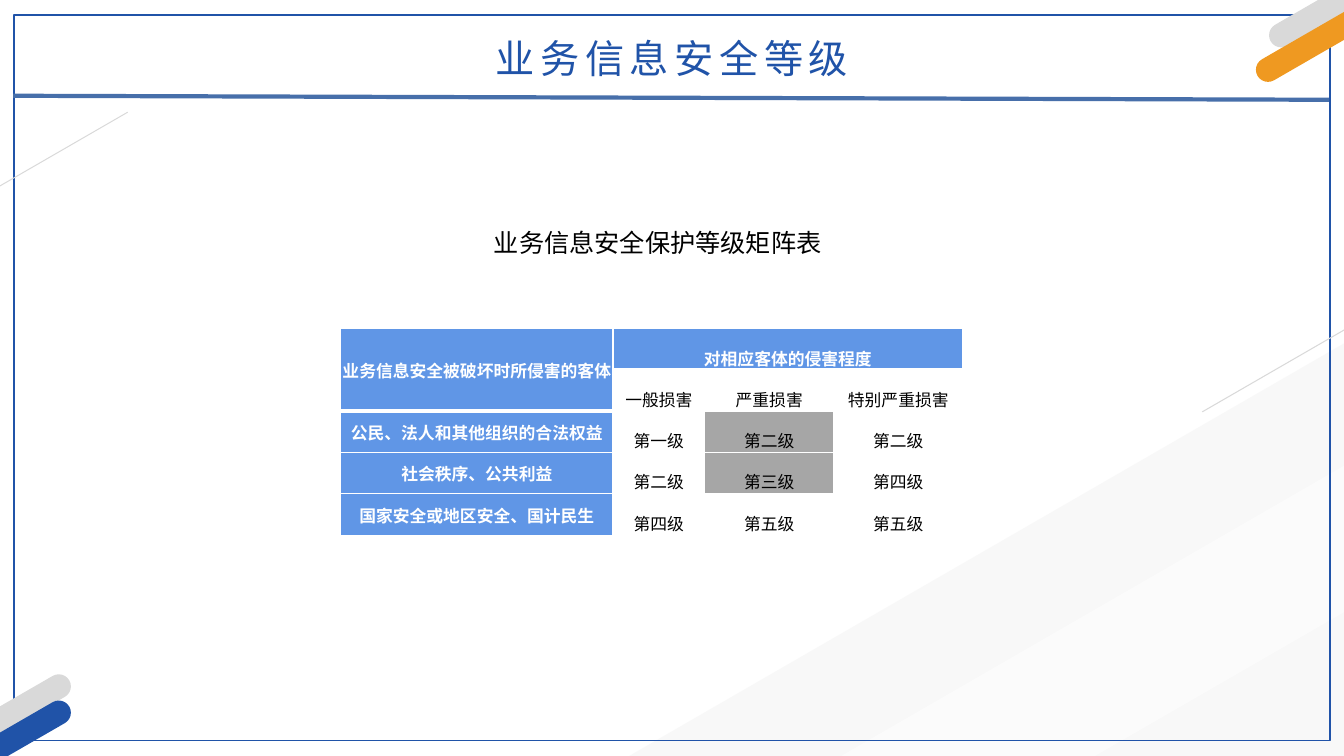
from lxml import etree
from pptx import Presentation
from pptx.dml.color import RGBColor
from pptx.enum import shapes, text
from pptx.oxml import ns
from pptx.util import Inches, Pt

COLORS = {
    "white": "FFFFFF", "black": "000000", "blue": "2053A8", "rule": "476FAA",
    "orange": "EF9921", "silver": "D9D9D9", "pale": "F2F2F2",
    "header": "6096E6", "highlight": "A6A6A6",
}
# Slanted bars: left, top, width, height, colour, opacity in percent
PANELS = [
    (3.32, 5.52, 13.84, 4.26, "pale", 49),
    (3.79, 6.23, 13.84, 1.26, "white", 49),
]
BARS = [
    (12.26, -0.99, 5.12, 0.24, "silver"),
    (12.04, -0.98, 6.45, 0.24, "orange"),
    (-4.75, 2.72, 6.45, 0.01, "silver"),
    (-4.09, 7.91, 5.12, 0.24, "silver"),
    (-4.09, 8.17, 5.12, 0.24, "blue"),
    (11.49, 2.47, 6.45, 0.01, "silver"),
]
MATRIX = [
    ["业务信息安全被破坏时所侵害的客体", "对相应客体的侵害程度", "", ""],
    ["", "一般损害", "严重损害", "特别严重损害"],
    ["公民、法人和其他组织的合法权益", "第一级", "第二级", "第二级"],
    ["社会秩序、公共利益", "第二级", "第三级", "第四级"],
    ["国家安全或地区安全、国计民生", "第四级", "第五级", "第五级"],
]
COLUMN_WIDTHS = [2.7, 0.91, 1.28, 1.28]
ROW_HEIGHT = 0.41
HIGHLIGHTED = {(2, 2), (3, 2)}


def rgb(name):
    return RGBColor.from_string(COLORS[name])


def add_element(parent, tag, **attributes):
    return etree.SubElement(parent, ns.qn(tag), attributes)


def style_paragraph(paragraph, size, font_name, color, bold=False, centred=True):
    paragraph.alignment = text.PP_ALIGN.CENTER if centred else text.PP_ALIGN.LEFT
    font = paragraph.font
    font.size, font.bold, font.name = Pt(size), bold, font_name
    font.color.rgb = rgb(color)


def add_bar(slide, left, top, width, height, color, opacity=100):
    bar = slide.shapes.add_shape(
        shapes.MSO_SHAPE.ROUNDED_RECTANGLE,
        Inches(left), Inches(top), Inches(width), Inches(height))
    bar.adjustments[0] = 0.5
    bar.rotation = 330
    bar.shadow.inherit = False
    bar.line.fill.background()
    bar.fill.solid()
    bar.fill.fore_color.rgb = rgb(color)
    if opacity < 100:
        fill_color = bar.fill._xPr.find(".//" + ns.qn("a:srgbClr"))
        add_element(fill_color, "a:alpha", val=str(opacity * 1000))


def add_frame(slide):
    frame = slide.shapes.add_shape(
        shapes.MSO_SHAPE.RECTANGLE,
        Inches(0.14), Inches(0.15), Inches(13.05), Inches(7.2))
    frame.shadow.inherit = False
    frame.fill.background()
    frame.line.color.rgb = rgb("blue")
    frame.line.width = Pt(1)


def set_title(slide, wording):
    title = slide.shapes.title
    title.left, title.top = Inches(0), Inches(0.29)
    title.width, title.height = Inches(13.33), Inches(0.57)
    frame = title.text_frame
    frame.text = wording
    frame.auto_size = text.MSO_AUTO_SIZE.NONE
    frame.vertical_anchor = text.MSO_ANCHOR.MIDDLE
    paragraph = frame.paragraphs[0]
    style_paragraph(paragraph, 28, "Noto Sans CJK SC", "blue")
    # Letter spacing and East Asian font
    run_properties = paragraph.font._element
    run_properties.set("spc", "400")
    add_element(run_properties, "a:ea", typeface="Noto Sans CJK SC")


def add_title_rule(slide):
    rule = slide.shapes.add_connector(
        shapes.MSO_CONNECTOR.STRAIGHT,
        Inches(0.13), Inches(0.95), Inches(13.18), Inches(0.99))
    rule.line.color.rgb = rgb("rule")
    rule.line.width = Pt(3)
    add_element(rule._element.spPr, "a:effectLst")


def add_caption(slide, wording):
    caption = slide.shapes.add_textbox(
        Inches(4.8), Inches(2.21), Inches(3.96), Inches(0.4))
    frame = caption.text_frame
    frame.word_wrap = True
    frame.text = wording
    style_paragraph(frame.paragraphs[0], 18, "Times New Roman", "black", centred=False)


def set_borders(cell, bottom_width):
    properties = cell._tc.get_or_add_tcPr()
    widths = {"a:lnL": 1, "a:lnR": 1, "a:lnT": 1, "a:lnB": bottom_width}
    for position, (tag, width) in enumerate(widths.items()):
        line = etree.Element(ns.qn(tag), w=str(Pt(width)))
        add_element(add_element(line, "a:solidFill"), "a:srgbClr", val=COLORS["white"])
        properties.insert(position, line)


def format_cell(cell, row, column, wording):
    is_header = row == 0 or column == 0
    cell.margin_left = cell.margin_right = cell.margin_top = Inches(0.01)
    cell.margin_bottom = 0
    cell.vertical_anchor = (
        text.MSO_ANCHOR.MIDDLE if column == 0 else text.MSO_ANCHOR.BOTTOM)
    if is_header or (row, column) in HIGHLIGHTED:
        cell.fill.solid()
        cell.fill.fore_color.rgb = rgb("header" if is_header else "highlight")
    else:
        cell.fill.background()
    set_borders(cell, 3 if row == 0 or (row, column) == (1, 0) else 1)
    cell.text = wording
    style_paragraph(cell.text_frame.paragraphs[0], 12, "Arial",
                    "white" if is_header else "black", bold=is_header)


def add_matrix(slide):
    table = slide.shapes.add_table(
        len(MATRIX), len(COLUMN_WIDTHS), Inches(3.38), Inches(3.26),
        Inches(sum(COLUMN_WIDTHS)), Inches(ROW_HEIGHT * len(MATRIX))).table
    table.horz_banding = False
    for column, width in zip(table.columns, COLUMN_WIDTHS):
        column.width = Inches(width)
    for row in table.rows:
        row.height = Inches(ROW_HEIGHT)
    for row, wordings in enumerate(MATRIX):
        for column, wording in enumerate(wordings):
            format_cell(table.cell(row, column), row, column, wording)
    table.cell(0, 0).merge(table.cell(1, 0))
    table.cell(0, 1).merge(table.cell(0, 3))


def main():
    presentation = Presentation()
    presentation.slide_width = Inches(13.33)
    presentation.slide_height = Inches(7.5)
    slide = presentation.slides.add_slide(presentation.slide_layouts[5])

    # Background decoration
    for panel in PANELS:
        add_bar(slide, *panel)
    add_frame(slide)
    for bar in BARS:
        add_bar(slide, *bar)

    # Heading
    set_title(slide, "业务信息安全等级")
    add_title_rule(slide)

    # Matrix with its caption
    add_matrix(slide)
    add_caption(slide, "业务信息安全保护等级矩阵表")

    presentation.save("out.pptx")


if __name__ == "__main__":
    main()
